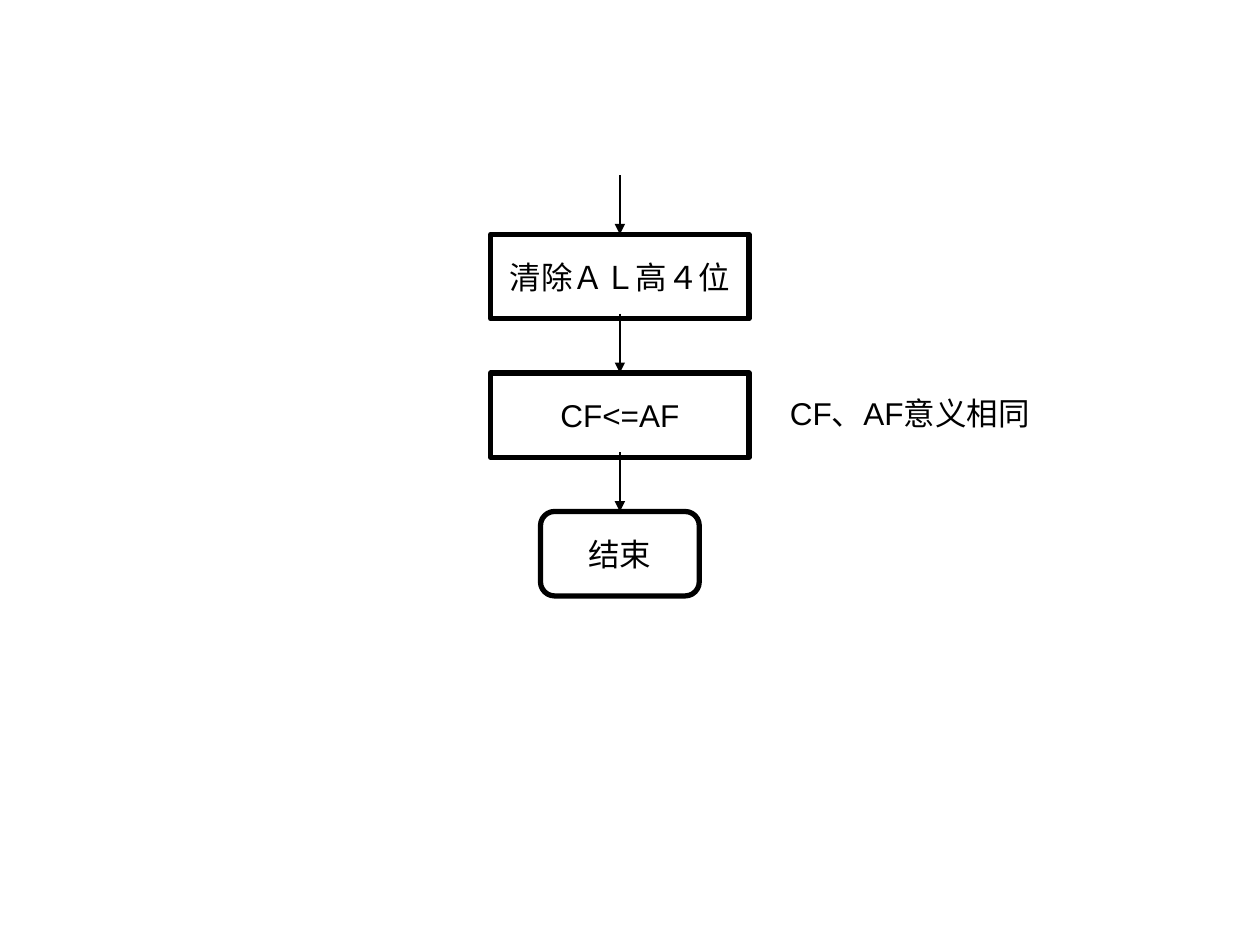
from lxml import etree
from pptx import Presentation
from pptx.dml.color import RGBColor
from pptx.enum.shapes import MSO_CONNECTOR, MSO_SHAPE
from pptx.enum.text import MSO_ANCHOR, MSO_AUTO_SIZE, PP_ALIGN
from pptx.oxml.ns import qn
from pptx.util import Inches, Pt

BLACK = RGBColor(0, 0, 0)
STRAIGHT = MSO_CONNECTOR.STRAIGHT
PROCESS = MSO_SHAPE.FLOWCHART_PROCESS
TERMINAL = MSO_SHAPE.FLOWCHART_ALTERNATE_PROCESS
MIDDLE = MSO_ANCHOR.MIDDLE
GROW = MSO_AUTO_SIZE.SHAPE_TO_FIT_TEXT
CENTER = PP_ALIGN.CENTER
LEFT = PP_ALIGN.LEFT
TOP_SIDE = 0

AXIS = 4.92
FIRST_TOP = 1.86
STEP_PITCH = 1.1
STEP_HEIGHT = 0.67
ARROW_LENGTH = 0.47
STEPS = [
    ("清除ＡＬ高４位", PROCESS, 2.05),
    ("CF<=AF", PROCESS, 2.05),
    ("结束", TERMINAL, 1.26),
]


class Flowchart:
    font_name = "Arial"
    font_size = Pt(18)
    border = Pt(3)
    arrow_width = Pt(0.75)

    def __init__(self, page):
        self.page = page

    def set_text(self, box, text, alignment):
        box.text_frame.word_wrap = False
        para = box.text_frame.paragraphs[0]
        para.text = text
        para.alignment = alignment
        para.font.name = self.font_name
        para.font.size = self.font_size
        para.font.color.rgb = BLACK

    def step(self, text, kind, width, top):
        box = self.page.shapes.add_shape(
            kind, Inches(AXIS - width / 2), Inches(top), Inches(width), Inches(STEP_HEIGHT)
        )
        box.shadow.inherit = False
        box.fill.background()
        box.line.color.rgb = BLACK
        box.line.width = self.border
        box.text_frame.vertical_anchor = MIDDLE
        self.set_text(box, text, CENTER)
        return box

    def arrow_into(self, box, top):
        arrow = self.page.shapes.add_connector(
            STRAIGHT, Inches(AXIS), Inches(top - ARROW_LENGTH), Inches(AXIS), Inches(top)
        )
        arrow.end_connect(box, TOP_SIDE)
        arrow.line.color.rgb = BLACK
        arrow.line.width = self.arrow_width
        properties = arrow._element.spPr
        etree.SubElement(properties.find(qn("a:ln")), qn("a:tailEnd"), type="triangle")
        etree.SubElement(properties, qn("a:effectLst"))

    def note(self, text, left, top, width, height):
        box = self.page.shapes.add_textbox(
            Inches(left), Inches(top), Inches(width), Inches(height)
        )
        box.text_frame.auto_size = GROW
        self.set_text(box, text, LEFT)


def main():
    deck = Presentation()
    deck.slide_width = Inches(10)
    deck.slide_height = Inches(7.5)
    chart = Flowchart(deck.slides.add_slide(deck.slide_layouts[6]))
    for index, (text, kind, width) in enumerate(STEPS):
        top = FIRST_TOP + index * STEP_PITCH
        box = chart.step(text, kind, width, top)
        chart.arrow_into(box, top)
    chart.note("CF、AF意义相同", 6.17, 3.08, 2.28, 0.4)
    deck.save("out.pptx")


if __name__ == "__main__":
    main()
